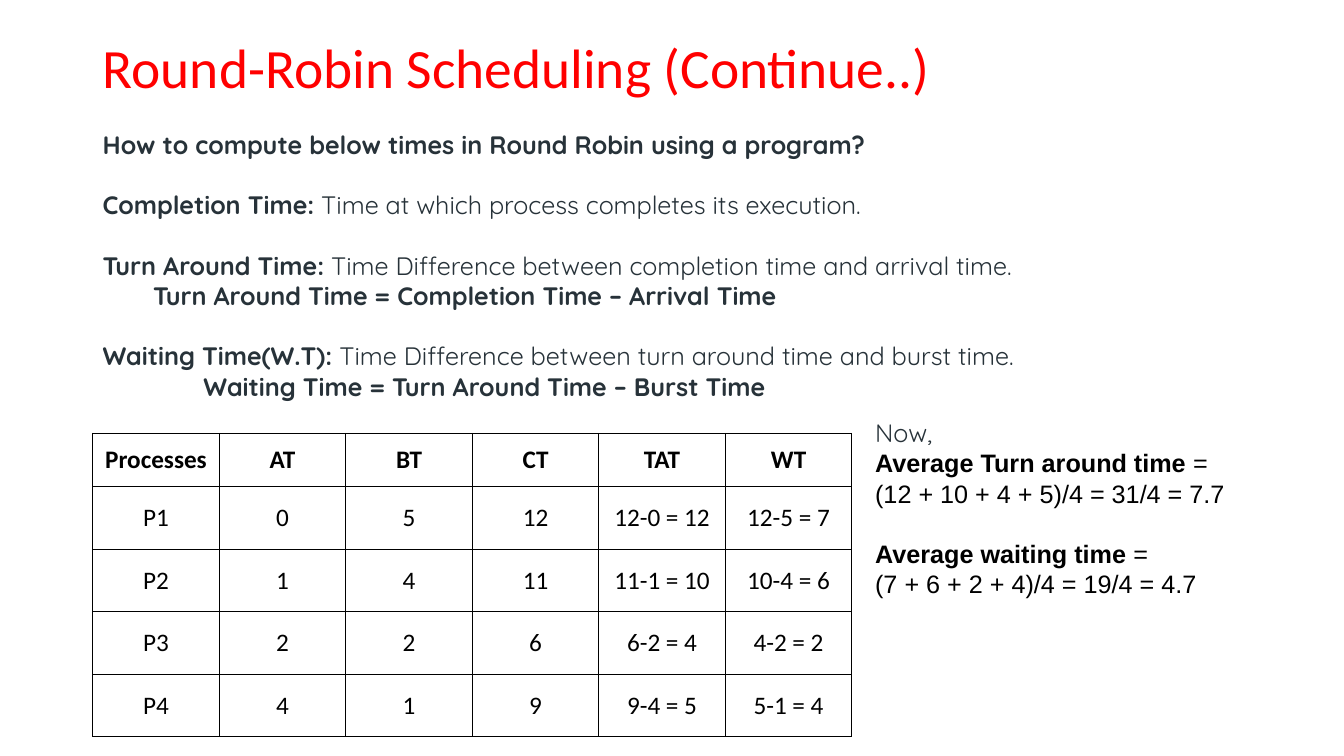
"""Builds the Round-Robin scheduling slide with its formulas, process table and averages."""
from lxml.etree import SubElement
from pptx import Presentation
from pptx.dml.color import RGBColor
from pptx.enum.text import MSO_ANCHOR, PP_ALIGN
from pptx.oxml.ns import qn
from pptx.util import Inches, Pt

LINE = Pt(21.6)
LEFT = 0.92
RED, SLATE, BLACK, WHITE = "FF0000", "273239", "000000", "FFFFFF"


def add_run(paragraph, text, face, size, color, bold=False):
    """Append a formatted run."""
    run = paragraph.add_run()
    run.text = text
    for key, value in {"name": face, "size": Pt(size), "bold": bold}.items():
        setattr(run.font, key, value)
    run.font.color.rgb = RGBColor.from_string(color)


def add_block(box, paragraphs, anchor, inset):
    """Add a text box; each paragraph is (gap before, indent, runs)."""
    frame = slide.shapes.add_textbox(*map(Inches, box)).text_frame
    margins = {"margin_left": inset, "margin_right": inset,
               "margin_top": inset / 2, "margin_bottom": inset / 2}
    for key, value in margins.items():
        setattr(frame, key, Inches(value))
    frame.word_wrap = True
    frame.vertical_anchor = anchor
    for index, (gap, indent, runs) in enumerate(paragraphs):
        paragraph = frame.add_paragraph() if index else frame.paragraphs[0]
        paragraph.line_spacing = LINE
        paragraph.space_before = LINE * gap
        paragraph._p.get_or_add_pPr().set("marL", str(Inches(indent)))
        for run in runs:
            add_run(paragraph, *run)
    return frame


prs = Presentation()
prs.slide_width, prs.slide_height = Inches(13.33), Inches(7.5)
slide = prs.slides.add_slide(prs.slide_layouts[6])

heading = [(0, 0, [("Round-Robin Scheduling (Continue..)", "Calibri", 39.6, RED)])]
title = add_block((LEFT, 0.4, 11.5, 0.59), heading, MSO_ANCHOR.MIDDLE, 0.1)
title.paragraphs[0].line_spacing = 0.9

definitions = [
    (0, 0, "How to compute below times in Round Robin using a program?", ""),
    (1, 0, "Completion Time:", " Time at which process completes its execution."),
    (1, 0, "Turn Around Time:", " Time Difference between completion time and arrival time."),
    (0, 0.5, "Turn Around Time = Completion Time – Arrival Time", ""),
    (1, 0, "Waiting Time(W.T):", " Time Difference between turn around time and burst time."),
    (0, 1, "Waiting Time = Turn Around Time – Burst Time", ""),
]
add_block((LEFT, 1.23, 10.46, 2.83),
          [(gap, indent, [(text, "Quicksand", 18, SLATE, bold)
                          for text, bold in ((term, True), (meaning, False)) if text])
           for gap, indent, term, meaning in definitions],
          MSO_ANCHOR.TOP, 0.1)

processes = [
    ["Processes", "AT", "BT", "CT", "TAT", "WT"],
    ["P1", "0", "5", "12", "12-0 = 12", "12-5 = 7"],
    ["P2", "1", "4", "11", "11-1 = 10", "10-4 = 6"],
    ["P3", "2", "2", "6", "6-2 = 4", "4-2 = 2"],
    ["P4", "4", "1", "9", "9-4 = 5", "5-1 = 4"],
]
schedule = slide.shapes.add_table(5, 6, Inches(LEFT), Inches(4.3), Inches(7.53), Inches(3.01)).table
for row, values in enumerate(processes):
    header = row == 0
    schedule.rows[row].height = Inches(0.53 if header else 0.62)
    for column, value in enumerate(values):
        cell = schedule.cell(row, column)
        side = 0.04 if value == "Processes" else 0.1
        rim = 0.1 if header else 0.15
        layout = {"margin_left": Inches(side), "margin_right": Inches(side),
                  "margin_top": Inches(rim), "margin_bottom": Inches(rim),
                  "vertical_anchor": MSO_ANCHOR.MIDDLE}
        for key, setting in layout.items():
            setattr(cell, key, setting)
        paragraph = cell.text_frame.paragraphs[0]
        paragraph.alignment = PP_ALIGN.CENTER
        add_run(paragraph, value, "Calibri", 18, BLACK, header)
        properties = cell._tc.get_or_add_tcPr()
        for edge in ("a:lnL", "a:lnR", "a:lnT", "a:lnB"):
            border = SubElement(properties, qn(edge), w=str(Pt(1)))
            SubElement(SubElement(border, qn("a:solidFill")), qn("a:srgbClr"), val=BLACK)
        cell.fill.solid()
        cell.fill.fore_color.rgb = RGBColor.from_string(WHITE)

averages = [(0, 0, [("Now,", "Quicksand", 18, SLATE)])]
for gap, measure, working in ((0, "Average Turn around time", "(12 + 10 + 4 + 5)/4 = 31/4 = 7.7"),
                              (1, "Average waiting time", "(7 + 6 + 2 + 4)/4 = 19/4 = 4.7")):
    averages.append((gap, 0, [(measure, "Arial", 18, BLACK, True), (" =", "Arial", 18, BLACK)]))
    averages.append((0, 0, [(working, "Arial", 18, BLACK)]))
add_block((8.68, 4.13, 3.74, 1.82), averages, MSO_ANCHOR.MIDDLE, 0)

prs.save("out.pptx")
